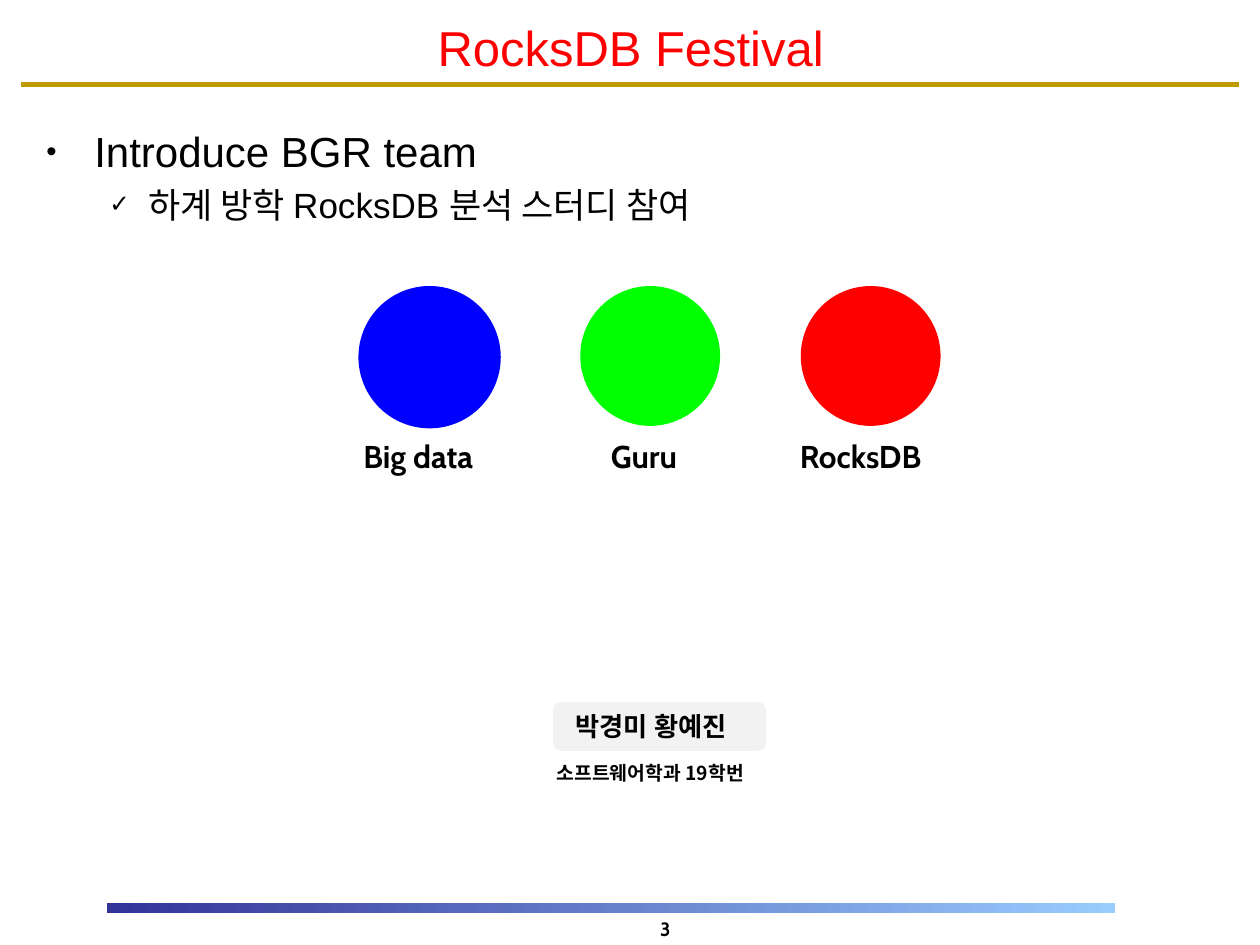
from lxml.etree import SubElement
from pptx import Presentation
from pptx.dml.color import RGBColor as Rgb
from pptx.enum.shapes import MSO_CONNECTOR as Connector, MSO_SHAPE as Shape
from pptx.enum.text import MSO_ANCHOR as Anchor, PP_ALIGN as Align
from pptx.oxml.ns import qn
from pptx.util import Inches, Pt

THEME = {
    "title": {"size": 28, "name": "Arial", "color": "FF0000", "bold": False},
    "topic": {"size": 24, "name": "Arial", "color": "000000", "bold": False},
    "detail": {"size": 20, "name": "Arial", "color": "000000", "bold": False},
    "label": {"size": 18, "name": "Cabin", "color": "000000", "bold": True},
    "members": {"size": 15, "name": "Noto Sans CJK KR", "color": "000000", "bold": True},
    "class": {"size": 11, "name": "Noto Sans CJK KR", "color": "000000", "bold": True},
    "number": {"size": 11, "name": "Cabin", "color": "000000", "bold": True},
    "korean": "Noto Sans CJK KR",
    "rule": "BE9A00",
    "footer": ("333399", "99CCFF"),
    "badge": "F2F2F2",
}
TITLE = "RocksDB Festival"
BODY = [
    ("topic", "Introduce BGR team", "•", 0.38, 0.38, 0),
    ("detail", "하계 방학 RocksDB 분석 스터디 참여", "✓", 0.81, 0.31, 4),
]
CIRCLES = [
    ("Big data", "0000FF", 1.13, 1.25),
    ("Guru", "00FF00", 1.11, 0.82),
    ("RocksDB", "FF0000", 1.11, 1.32),
]
MEMBERS = "박경미 황예진"
CLASS = "소프트웨어학과 19학번"
NUMBER = "3"

COLUMNS, ROWS = 10, 7.5
FIRST_CENTER, PITCH, CIRCLE_TOP, LABEL_TOP = 3.41, 1.75, 2.27, 3.42

deck = Presentation()
deck.slide_width, deck.slide_height = Inches(10), Inches(7.5)
page = deck.slides.add_slide(deck.slide_layouts[6])


def place(left, top, width, height):
    column, row = deck.slide_width / COLUMNS, deck.slide_height / ROWS
    return [int(n * unit) for n, unit in zip((left, top, width, height), (column, row) * 2)]


def write(para, text, style, align=Align.LEFT):
    para.alignment = align
    span = para.add_run()
    span.text = text
    look = THEME[style]
    values = {"size": Pt(look["size"]), "name": look["name"], "bold": look["bold"]}
    for key, value in values.items():
        setattr(span.font, key, value)
    span.font.color.rgb = Rgb.from_string(look["color"])
    SubElement(span.font._element, qn("a:ea"), typeface=THEME["korean"])


def add_text(area, text, style, align=Align.LEFT, anchor=Anchor.TOP):
    frame = page.shapes.add_textbox(*place(*area)).text_frame
    frame.word_wrap, frame.vertical_anchor = True, anchor
    write(frame.paragraphs[0], text, style, align)


def add_plain(kind, area, color):
    shape = page.shapes.add_shape(kind, *place(*area))
    shape.shadow.inherit = False
    shape.fill.solid()
    shape.fill.fore_color.rgb = Rgb.from_string(color)
    shape.line.fill.background()
    return shape


def add_bullet(para, mark, margin, hanging):
    props = para._p.get_or_add_pPr()
    props.set("marL", str(Inches(margin)))
    props.set("indent", str(-Inches(hanging)))
    SubElement(props, qn("a:buSzPct"), val="70000")
    SubElement(props, qn("a:buFont"), typeface="Arial")
    SubElement(props, qn("a:buChar"), char=mark)


start_x, start_y, end_x, end_y = place(0.17, 0.67, 9.83, 0.67)
rule = page.shapes.add_connector(Connector.STRAIGHT, start_x, start_y, end_x, end_y)
rule.line.width, rule.line.color.rgb = Pt(3), Rgb.from_string(THEME["rule"])
SubElement(rule._element.spPr, qn("a:effectLst"))

footer = add_plain(Shape.RECTANGLE, (0.85, 7.17, 8, 0.08), THEME["footer"][0])
footer.fill.gradient()
footer.fill.gradient_angle = 0
for stop, color in zip(footer.fill.gradient_stops, THEME["footer"]):
    stop.color.rgb = Rgb.from_string(color)

add_text((0.17, 0.08, 9.67, 0.58), TITLE, "title", Align.CENTER, Anchor.MIDDLE)

body = page.shapes.add_textbox(*place(0.27, 0.95, 9.45, 5.96)).text_frame
body.word_wrap = True
for index, (style, text, mark, margin, hanging, gap) in enumerate(BODY):
    para = body.add_paragraph() if index else body.paragraphs[0]
    para.level, para.space_before = index, Pt(gap)
    add_bullet(para, mark, margin, hanging)
    write(para, text, style)

for index, (name, color, size, width) in enumerate(CIRCLES):
    center = FIRST_CENTER + index * PITCH
    add_plain(Shape.OVAL, (center - size / 2, CIRCLE_TOP, size, size), color)
    add_text((center - width / 2, LABEL_TOP, width, 0.4), name, "label")

badge = add_plain(Shape.ROUNDED_RECTANGLE, (4.39, 5.57, 1.69, 0.39), THEME["badge"])
badge.text_frame.margin_left = Inches(0.16)
badge.text_frame.vertical_anchor = Anchor.MIDDLE
write(badge.text_frame.paragraphs[0], MEMBERS, "members")

add_text((4.32, 5.99, 1.82, 0.29), CLASS, "class")
add_text((4.21, 7.25, 2.14, 0.25), NUMBER, "number", Align.CENTER, Anchor.MIDDLE)

deck.save("out.pptx")
